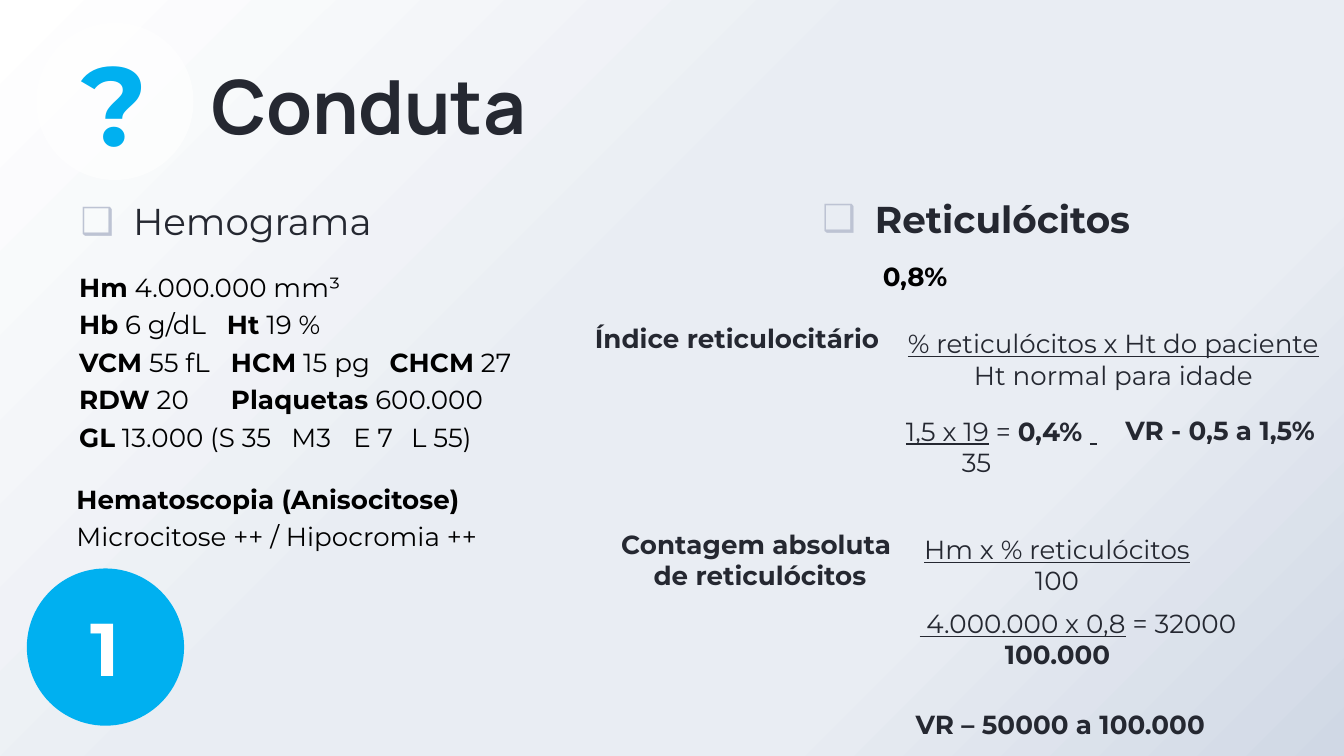
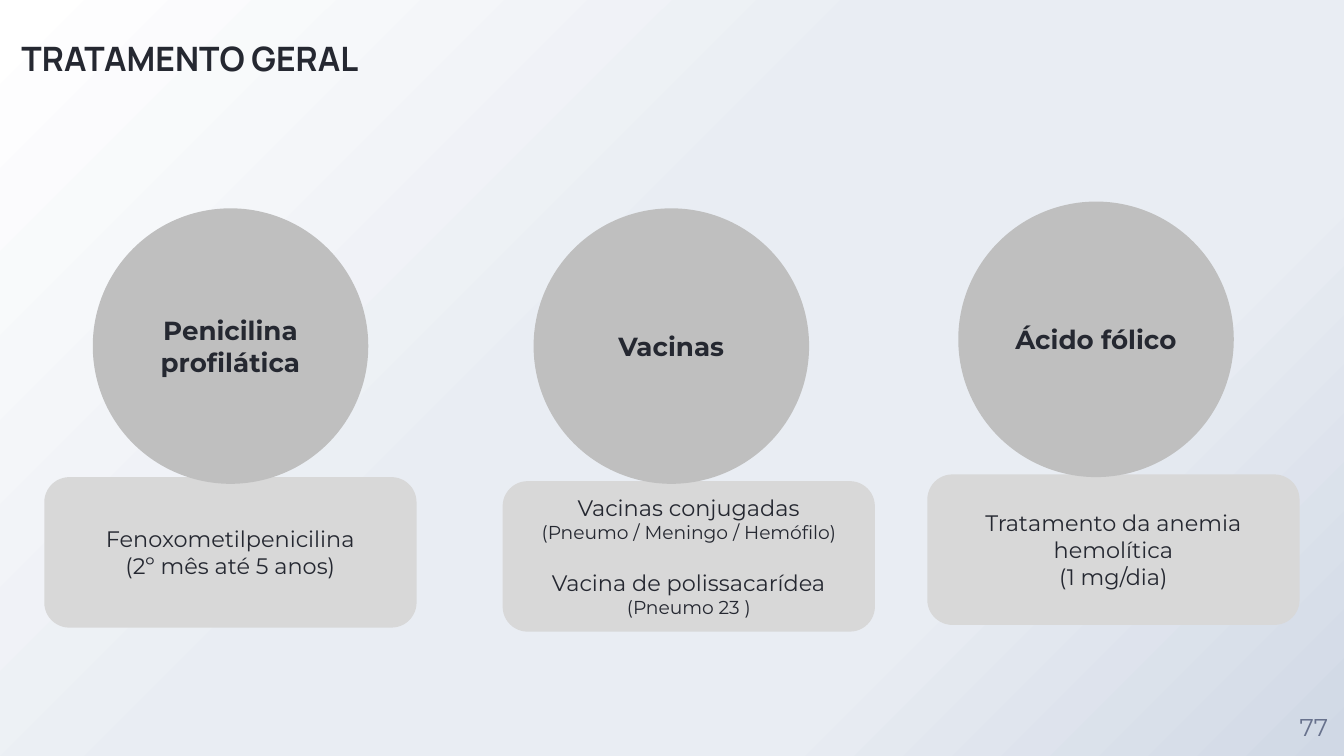
from dataclasses import dataclass

from lxml import etree
from pptx import Presentation
from pptx.dml.color import RGBColor
from pptx.enum import shapes, text
from pptx.oxml import ns
from pptx.util import Inches, Pt


@dataclass(frozen=True)
class Theme:
    head: str = "Manrope"
    body: str = "Montserrat"
    ink: str = "252831"
    black: str = "000000"
    white: str = "FFFFFF"
    blue: str = "00B0F0"
    mark: str = "BDC3D3"
    muted: str = "68728D"
    card: str = "D8D8D8"
    disc: str = "BFBFBF"
    stops: tuple = ((0, "FFFFFF"), (44, "E9EDF3"), (72, "E9EDF3"), (100, "D0D8E5"))
    title: int = 40
    small: int = 18
    topic: int = 20
    base: int = 14
    note: int = 12
    fine: int = 10
    page: int = 13
    query: int = 60


T = Theme()
WIDE = 10
HIGH = WIDE * 9 / 16
LEFT, MID = text.PP_ALIGN.LEFT, text.PP_ALIGN.CENTER
TOP, CORE, LOW = text.MSO_ANCHOR.TOP, text.MSO_ANCHOR.MIDDLE, text.MSO_ANCHOR.BOTTOM
NONE, THIN, EVEN = (0, 0), (0.1, 0.05), (0.1, 0.1)


@dataclass
class Line:
    """One paragraph; *...* is bold and _..._ is underlined."""
    words: str
    size: int = T.base
    shift: float = 0
    hang: float = 0
    before: float = 0
    tabs: tuple = ()
    bullet: str = ""


def sub(parent, tag, **attrs):
    return etree.SubElement(parent, ns.qn(tag), attrs)


# Text
def mark_up(para, line):
    props = para._p.get_or_add_pPr()
    if line.shift:
        props.set("marL", str(Inches(line.shift)))
        props.set("indent", str(Inches(line.hang)))
    if line.bullet:
        sub(sub(props, "a:buClr"), "a:srgbClr", val=T.mark)
        sub(props, "a:buFont", typeface=T.body)
        sub(props, "a:buChar", char=line.bullet)
    if line.tabs:
        stops = sub(props, "a:tabLst")
        for pos in line.tabs:
            sub(stops, "a:tab", pos=str(Inches(pos)), algn="l")


def add_run(para, words, size, color, font, bold, under):
    run = para.add_run()
    run.text = words
    run.font.name, run.font.size = font, Pt(size)
    run.font.bold, run.font.underline = bold, under
    run.font.color.rgb = RGBColor.from_string(color)


def write(shape, lines, color=T.ink, font=T.body, align=MID, anchor=TOP,
          inset=THIN, space=None):
    frame = shape.text_frame
    frame.word_wrap = True
    frame.vertical_anchor = anchor
    frame.margin_left = frame.margin_right = Inches(inset[0])
    frame.margin_top = frame.margin_bottom = Inches(inset[1])
    for n, line in enumerate(lines):
        if isinstance(line, str):
            line = Line(line)
        para = frame.add_paragraph() if n else frame.paragraphs[0]
        para.alignment = align
        if space:
            para.line_spacing = space
        if line.before:
            para.space_before = Pt(line.before)
        mark_up(para, line)
        for b, part in enumerate(line.words.split("*")):
            for u, bit in enumerate(part.split("_")):
                if bit:
                    add_run(para, bit, line.size, color, font, b % 2 == 1, u % 2 == 1)


def add_text(slide, at, lines, **style):
    write(slide.shapes.add_textbox(*map(Inches, at)), lines, **style)


def add_title(slide, at, words, size):
    add_text(slide, at, [Line(f"*{words}*", size)], font=T.head, align=LEFT,
             anchor=LOW, inset=NONE)


def add_topic(slide, at, words):
    line = Line(words, T.topic, shift=0.5, hang=-0.39, bullet="❑")
    add_text(slide, at, [line], align=LEFT, inset=NONE, space=1.2)


def add_lab(slide, at, lines):
    add_text(slide, at, lines, color=T.black, align=LEFT, space=1.2)


# Shapes
def add_shape(slide, kind, at, fill, lines, color=T.ink, alpha=None):
    shape = slide.shapes.add_shape(kind, *map(Inches, at))
    shape.shadow.inherit = False
    shape.fill.solid()
    shape.fill.fore_color.rgb = RGBColor.from_string(fill)
    shape.line.fill.background()
    if alpha:
        tone = shape._element.spPr.find(ns.qn("a:solidFill"))[0]
        sub(tone, "a:alpha", val=str(alpha * 1000))
    write(shape, lines, color=color, anchor=CORE)


def add_disc(slide, left, top, side, fill, line, **style):
    add_shape(slide, shapes.MSO_SHAPE.OVAL, (left, top, side, side), fill, [line], **style)


def add_step(slide, disc, card, name, lines):
    add_shape(slide, shapes.MSO_SHAPE.ROUNDED_RECTANGLE, (*card, 2.77, 1.12), T.card, lines)
    add_disc(slide, *disc, 2.05, T.disc, f"*{name}*")


def new_slide(deck):
    slide = deck.slides.add_slide(deck.slide_layouts[6])
    fill = slide.background.fill
    fill.gradient()
    fill.gradient_angle = 315
    stops = slide._element.find(".//" + ns.qn("a:gsLst"))
    for stop in list(stops):
        stops.remove(stop)
    for pos, color in T.stops:
        sub(sub(stops, "a:gs", pos=str(pos * 1000)), "a:srgbClr", val=color)
    return slide


# Slides
def blood_slide(deck):
    slide = new_slide(deck)
    add_title(slide, (1.57, 0.4, 2.78, 0.71), "Conduta", T.title)

    # Blood count
    add_topic(slide, (0.49, 1.41, 3.16, 0.58), "Hemograma")
    add_disc(slide, 0.2, 4.23, 1.17, T.blue, Line("*1*", T.title), color=T.white)
    add_disc(slide, 0.27, 0.17, 1.17, T.white, Line("*?*", T.query), color=T.blue, alpha=69)
    add_topic(slide, (6.01, 1.39, 2.67, 0.58), "*Reticulócitos*")
    add_lab(slide, (0.49, 1.92, 3.68, 1.49), [
        "*Hm* 4.000.000 mm³",
        Line("*Hb* 6 g/dL\t*Ht* 19 %", tabs=(1.1,)),
        Line("*VCM* 55 fL\t*HCM* 15 pg\t*CHCM* 27", tabs=(1.13, 2.31)),
        Line("*RDW* 20\t*Plaquetas* 600.000", tabs=(1.13,)),
        Line("*GL* 13.000 (S 35\tM3\tE 7\tL 55)", tabs=(1.58, 2.04, 2.47)),
    ])
    add_lab(slide, (0.47, 3.5, 3.68, 0.64),
            ["*Hematoscopia (Anisocitose)*", "Microcitose ++ / Hipocromia ++"])

    # Reticulocytes
    add_lab(slide, (6.47, 1.84, 1.83, 0.34), ["*0,8%*"])
    add_text(slide, (4.35, 2.35, 2.27, 0.44), ["*Índice reticulocitário*"],
             inset=NONE, space=1.2)

    # Fractions
    for at, over, under in (
        ((6.57, 2.39, 3.43, 0.64), "_% reticulócitos x Ht do paciente_", "Ht normal para idade"),
        ((6.02, 3.04, 2.49, 0.64), Line("_1,5 x 19_ = *0,4% *_ _", shift=0.37), "35"),
        ((6.62, 3.92, 2.49, 0.64), "_Hm x % reticulócitos_", "100"),
        ((6.07, 4.47, 3.6, 0.64), Line("_ 4.000.000 x 0,8_ = 32000", shift=0.3), "*100.000*"),
    ):
        add_text(slide, at, [over, under])

    # Reference values
    add_text(slide, (8.25, 2.98, 1.66, 0.47), ["*VR - 0,5 a 1,5%*"], inset=EVEN)
    add_text(slide, (6.7, 5.17, 2.38, 0.44), ["*VR – 50000 a 100.000*"], inset=EVEN)
    add_text(slide, (4.52, 3.93, 2.27, 0.49),
             ["*Contagem absoluta *", "*de reticulócitos*"], inset=NONE)


def care_slide(deck):
    slide = new_slide(deck)
    add_title(slide, (0.16, 0.12, 3.92, 0.46), "TRATAMENTO GERAL", T.small)
    add_text(slide, (9.55, 5.18, 0.45, 0.45), [Line("77", T.page)],
             color=T.muted, anchor=CORE, inset=NONE)
    add_step(slide, (0.69, 1.55), (0.33, 3.55), "Penicilina profilática", [
        Line("Fenoxometilpenicilina", T.note),
        Line("(2º mês até 5 anos)", T.note),
    ])
    add_step(slide, (3.97, 1.55), (3.74, 3.58), "Vacinas", [
        Line("Vacinas conjugadas", T.note),
        Line("(Pneumo / Meningo / Hemófilo)", T.fine),
        Line("Vacina de polissacarídea", T.note, before=14),
        Line("(Pneumo 23 )", T.fine),
    ])
    add_step(slide, (7.13, 1.5), (6.9, 3.53), "Ácido fólico", [
        Line("Tratamento da anemia hemolítica", T.note),
        Line("(1 mg/dia)", T.note),
    ])


def main():
    deck = Presentation()
    deck.slide_width, deck.slide_height = Inches(WIDE), Inches(HIGH)
    blood_slide(deck)
    care_slide(deck)
    deck.save("out.pptx")


if __name__ == "__main__":
    main()
